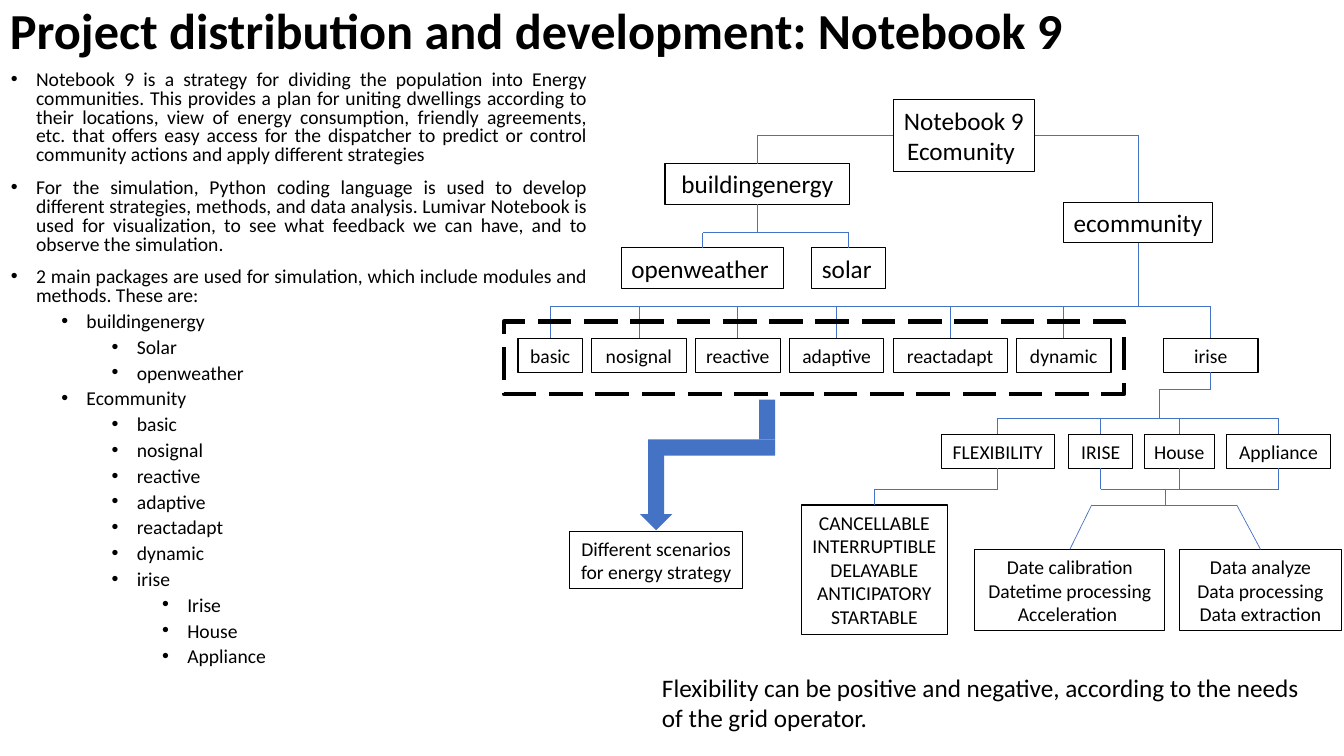
import pptx
import pptx.util
import pptx.dml.color
import pptx.enum.dml
import pptx.enum.shapes
import pptx.enum.text
import pptx.oxml.ns
from lxml import etree

Pt = pptx.util.Pt
ALIGN = pptx.enum.text.PP_ALIGN
SHAPE = pptx.enum.shapes.MSO_SHAPE
COLORS = {"ink": "000000", "blue": "4472C4"}
FONT = "Calibri"
TOP, LEFT, BOTTOM, RIGHT = range(4)

NOTES = [
    (0, "Notebook 9 is a strategy for dividing the population into Energy communities. "
        "This provides a plan for uniting dwellings according to their locations, view of "
        "energy consumption, friendly agreements, etc. that offers easy access for the "
        "dispatcher to predict or control community actions and apply different strategies "),
    (0, "For the simulation, Python coding language is used to develop different strategies, "
        "methods, and data analysis. Lumivar Notebook is used for visualization, to see what "
        "feedback we can have, and to observe the simulation."),
    (0, "2 main packages are used for simulation, which include modules and methods. "
        "These are: "),
    (1, "buildingenergy "), (2, "Solar"), (2, "openweather"),
    (1, "Ecommunity"), (2, "basic "), (2, "nosignal "), (2, "reactive"),
    (2, "adaptive"), (2, "reactadapt"), (2, "dynamic"), (2, "irise"),
    (3, "Irise"), (3, "House"), (3, "Appliance"),
]
MODULES = [("basic", 46), ("nosignal", 67.6), ("reactive", 60.4),
           ("adaptive", 67.6), ("reactadapt", 81.4), ("dynamic", 67.6)]


def color(name):
    return pptx.dml.color.RGBColor.from_string(COLORS[name])


def write(para, text, size, bold=False):
    run = para.add_run()
    run.text = text
    run.font.name = FONT
    run.font.size = Pt(size)
    run.font.bold = bold
    run.font.color.rgb = color("ink")


def frame(slide, box, wrap=True):
    shape = slide.shapes.add_textbox(*map(Pt, box))
    shape.text_frame.word_wrap = wrap
    shape.text_frame.auto_size = pptx.enum.text.MSO_AUTO_SIZE.NONE
    return shape


def node(slide, box, lines, size=14, align=ALIGN.CENTER, wrap=False):
    shape = frame(slide, box, wrap)
    shape.line.color.rgb = color("ink")
    shape.line.width = Pt(0.75)
    text = shape.text_frame
    text.vertical_anchor = pptx.enum.text.MSO_ANCHOR.MIDDLE
    for i, line in enumerate(lines.split("\n")):
        para = text.add_paragraph() if i else text.paragraphs[0]
        para.alignment = align
        write(para, line, size)
    return shape


def mid(shape):
    return (shape.left + shape.width / 2) / 12700


def wire(slide, x1, y1, x2, y2, start=None, end=None):
    line = slide.shapes.add_connector(
        pptx.enum.shapes.MSO_CONNECTOR.STRAIGHT, Pt(x1), Pt(y1), Pt(x2), Pt(y2))
    if start:
        line.begin_connect(*start)
    if end:
        line.end_connect(*end)
    line.line.color.rgb = color("blue")
    line.line.width = Pt(0.5)
    etree.SubElement(line._element.spPr, pptx.oxml.ns.qn("a:effectLst"))


def drop(slide, shape, side, y):
    """Vertical line from a box's top or bottom to height y."""
    wire(slide, mid(shape), y, mid(shape), y, start=(shape, side))


def rail(slide, kids, side, y):
    """Horizontal rail at y with a drop to every box."""
    wire(slide, mid(kids[0]), y, mid(kids[-1]), y)
    for kid in kids:
        drop(slide, kid, side, y)


def block(slide, kind, box):
    shape = slide.shapes.add_shape(kind, *map(Pt, box))
    shape.shadow.inherit = False
    shape.fill.solid()
    shape.fill.fore_color.rgb = color("blue")
    shape.line.fill.background()


def title(slide, box):
    text = frame(slide, box).text_frame
    text.vertical_anchor = pptx.enum.text.MSO_ANCHOR.MIDDLE
    text.paragraphs[0].line_spacing = 0.9
    write(text.paragraphs[0], "Project distribution and development: Notebook 9", 36, True)


def notes(slide, box):
    text = frame(slide, box).text_frame
    for i, (level, line) in enumerate(NOTES):
        para = text.add_paragraph() if i else text.paragraphs[0]
        para.alignment = ALIGN.JUSTIFY
        para.level = level
        para.line_spacing = 0.8
        para.space_before = Pt(5 if level else 10)
        props = para._p.get_or_add_pPr()
        props.set("marL", str(Pt(18 + 36 * level)))
        props.set("indent", str(Pt(-18)))
        for tag, key, val in (("buFont", "typeface", "Arial"), ("buChar", "char", "•")):
            etree.SubElement(props, pptx.oxml.ns.qn("a:" + tag)).set(key, val)
        write(para, line, 14)


def tree(slide, box):
    """Root and the two packages; gives back the second package."""
    x, y, w, h = box
    root = node(slide, (x + 194, y, 101, 51), "Notebook 9\nEcomunity ", 18)
    build = node(slide, (x + 31, y + 45.5, 132, 29), "buildingenergy", 18)
    commune = node(slide, (x + 315.6, y + 73, 106.6, 29), "ecommunity", 18)
    for kid, side in ((build, LEFT), (commune, RIGHT)):
        wire(slide, mid(kid), y + 25.5, mid(kid), y + 25.5, start=(root, side))
        drop(slide, kid, TOP, y + 25.5)
    kids = [node(slide, (x + dx, y + h - 29, wide, 29), name, 18, ALIGN.LEFT, True)
            for dx, wide, name in ((0, 116, "openweather"), (136, 52.5, "solar"))]
    drop(slide, build, BOTTOM, y + 95)
    rail(slide, kids, TOP, y + 95)
    return commune


def modules(slide, box, commune):
    """Row of modules in a dashed frame; gives back the last one."""
    x, y, w, h = box
    kids, left = [], x + 10
    for name, wide in MODULES:
        kids.append(node(slide, (left, y + 22.6, wide, 24.4), name))
        left += wide + 6.6
    irise = node(slide, (x + w - 67.6, y + 22.6, 67.6, 24.4), "irise")
    rail(slide, kids + [irise], TOP, y)
    drop(slide, commune, BOTTOM, y)
    dash = slide.shapes.add_shape(SHAPE.RECTANGLE, Pt(x), Pt(y + 10.7), Pt(443), Pt(h - 10.7))
    dash.shadow.inherit = False
    dash.fill.background()
    dash.line.color.rgb = color("ink")
    dash.line.width = Pt(3)
    dash.line.dash_style = pptx.enum.dml.MSO_LINE.LONG_DASH
    return irise


def parts(slide, box, irise):
    """Parts of irise and their contents."""
    x, y, w, h = box
    kids = [node(slide, (x + dx, y + 32.3, wide, 24.2), name) for dx, wide, name in (
        (100, 80.6, "FLEXIBILITY"), (190.8, 46, "IRISE"),
        (244.8, 50.4, "House"), (303.8, 74.2, "Appliance"))]
    flex, rest = kids[0], kids[1:]
    stem = x + 255.6
    drop(slide, irise, BOTTOM, y)
    wire(slide, mid(irise), y, stem, y)
    wire(slide, stem, y, stem, y + 20.8)
    rail(slide, kids, TOP, y + 20.8)
    # Flexibility branch
    kinds = node(slide, (x, y + 82.7, 104.4, 92.2),
                 "CANCELLABLE\nINTERRUPTIBLE\nDELAYABLE\nANTICIPATORY\nSTARTABLE")
    drop(slide, flex, BOTTOM, y + 71.2)
    wire(slide, mid(flex), y + 71.2, mid(kinds), y + 71.2)
    drop(slide, kinds, TOP, y + 71.2)
    # Data branch
    rail(slide, rest, BOTTOM, y + 71.2)
    wire(slide, x + 260, y + 71.2, x + 260, y + 82.7)
    wire(slide, x + 207.4, y + 82.7, x + 311, y + 82.7)
    for dx, wide, fan, lines in (
            (123.8, 136, 207.4, "Date calibration\nDatetime processing\nAcceleration "),
            (270, 116, 311, "Data analyze\nData processing\nData extraction")):
        data = node(slide, (x + dx, y + 114.4, wide, 58.3), lines)
        wire(slide, x + fan, y + 82.7, mid(data), y + 114.4, end=(data, TOP))


def outcome(slide, box):
    """Bent arrow to the scenarios."""
    x, y, w, h = box
    block(slide, SHAPE.DOWN_ARROW, (x + 50.4, y + 39.2, 23, 54))
    block(slide, SHAPE.RECTANGLE, (x + 56.2, y + 28.4, 90.7, 11.5))
    block(slide, SHAPE.RECTANGLE, (x + 135.4, y, 11.5, 28.4))
    node(slide, (x, y + h - 41, 123.8, 41),
         "Different scenarios for energy strategy ", wrap=True)


def remark(slide, box):
    write(frame(slide, box).text_frame.paragraphs[0],
          "Flexibility can be positive and negative, according to the needs "
          "of the grid operator.", 18)


def main():
    deck = pptx.Presentation()
    deck.slide_width, deck.slide_height = Pt(960), Pt(540)
    slide = deck.slides.add_slide(deck.slide_layouts[6])
    title(slide, (0, 0, 828, 48))
    notes(slide, (0.7, 47.5, 426, 467))
    commune = tree(slide, (444, 71.3, 422.2, 134.7))
    irise = modules(slide, (360, 219, 538.6, 62.5), commune)
    parts(slide, (572.4, 278, 386, 174.9), irise)
    outcome(slide, (406.8, 285.5, 146.9, 135))
    remark(slide, (465.8, 476.6, 486.7, 51))
    deck.save("out.pptx")


if __name__ == "__main__":
    main()
